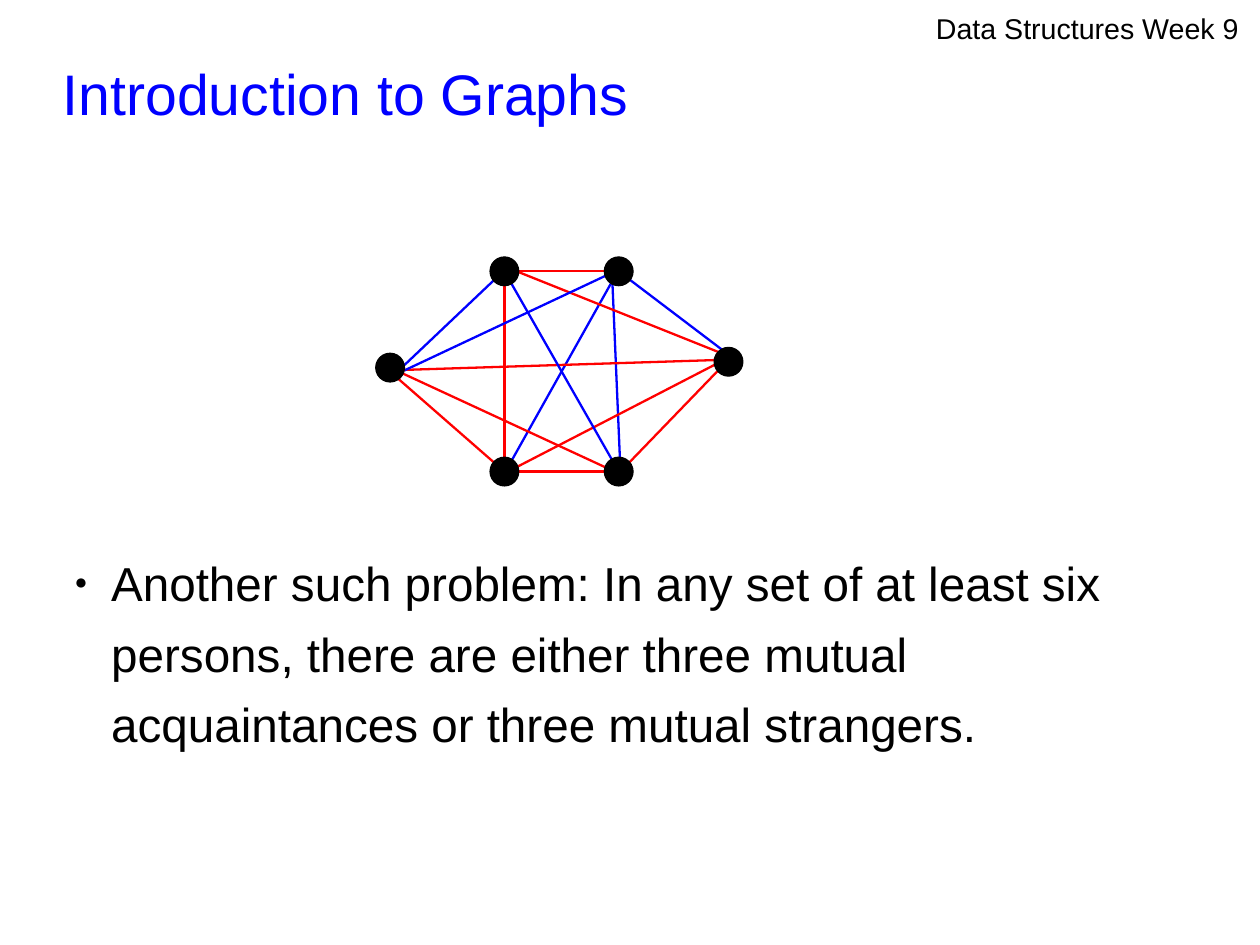
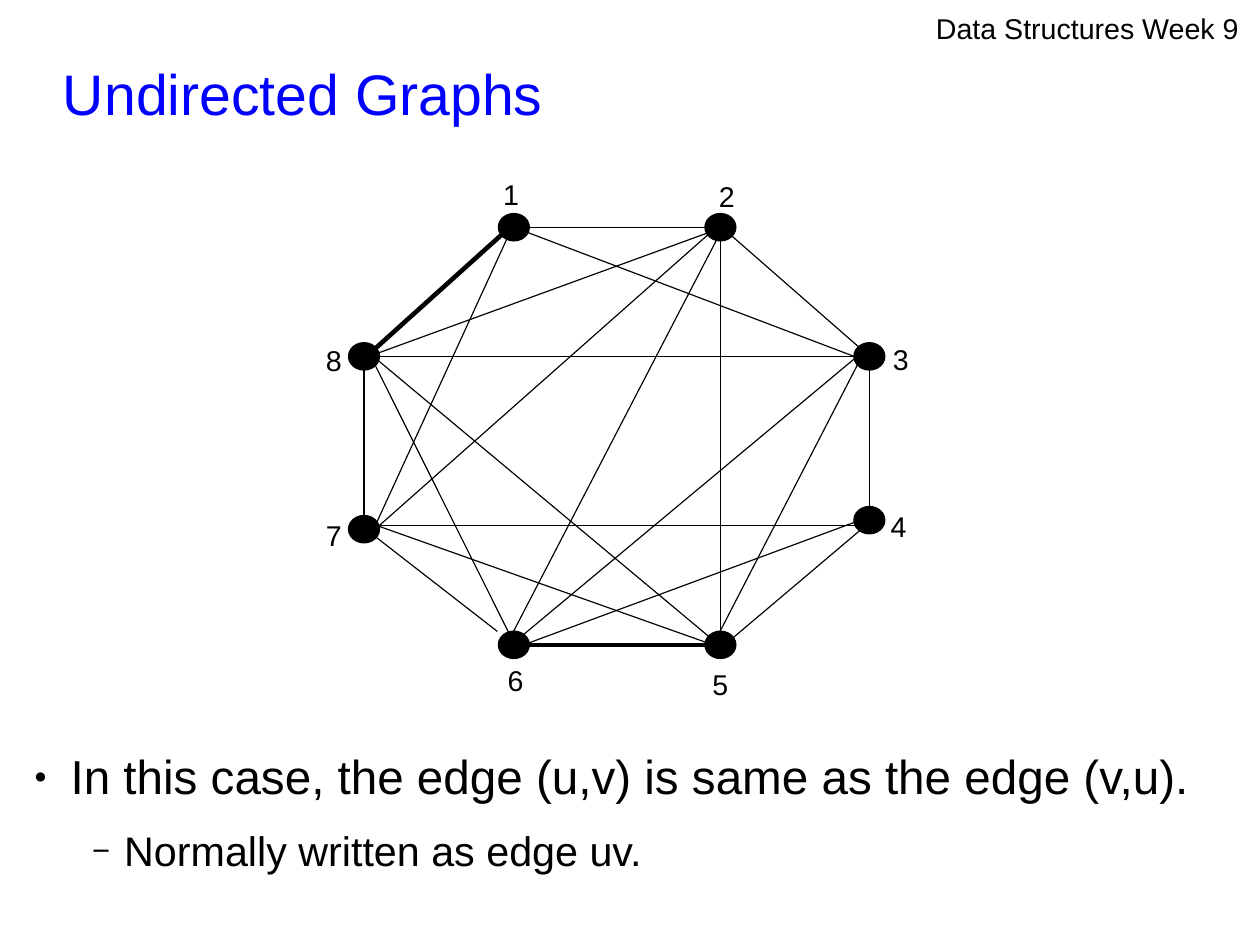
import dataclasses
import typing

import lxml.etree
import pptx
import pptx.dml.color
import pptx.enum.shapes
import pptx.enum.text
import pptx.oxml.ns
import pptx.slide
import pptx.text.text
import pptx.util

Cm = pptx.util.Cm
Pt = pptx.util.Pt
qn = pptx.oxml.ns.qn
ALIGN = pptx.enum.text.PP_ALIGN
ANCHOR = pptx.enum.text.MSO_ANCHOR
FIT = pptx.enum.text.MSO_AUTO_SIZE
Pair = tuple[float, float]

# Shared look
FONT = "Arial"
INK = {"black": "000000", "blue": "0000FF", "red": "FF0000", "white": "FFFFFF"}
HEADER = "Data Structures Week 9"
HEAD_BOX = (20.8, 0.25, 6.88, 0.84)
TITLE_BOX = (1.4, 0.84, 25.12, 2.08)
LABEL_SIZE = (0.86, 1.04)


@dataclasses.dataclass(frozen=True)
class Node:
    x: float
    y: float
    label: Pair = (0, 0)  # label centre, measured from the node


@dataclasses.dataclass(frozen=True)
class Edge:
    a: str
    b: str
    start: Pair = (0, 0)  # shift of each end from the node centre
    end: Pair = (0, 0)
    hue: str = "black"
    width: float = 0.75


@dataclasses.dataclass(frozen=True)
class Bullet:
    char: str
    scale: int
    left: float
    hang: float


@dataclasses.dataclass(frozen=True)
class Item:
    text: str
    level: int = 0


@dataclasses.dataclass(frozen=True)
class Page:
    title: str
    box: tuple[float, float, float, float]
    items: list[Item]
    nodes: dict[str, Node]
    edges: list[Edge]
    dot: Pair
    marked: bool = False  # show the node names


# Size, space after and bullet of each list level
LEVELS = [
    (30, 5.8, Bullet("●", 45, 1.07, 0.81)),
    (26, 2.9, Bullet("−", 75, 2.26, 0.71)),
]


def tint(hue: str) -> pptx.dml.color.RGBColor:
    return pptx.dml.color.RGBColor.from_string(INK[hue])


def write(frame: pptx.text.text.TextFrame, text: str, *, size: float = 18,
          hue: str = "black", line: float = 1.0, after: float = 0,
          level: int = 0, align: typing.Any = ALIGN.LEFT,
          bullet: typing.Optional[Bullet] = None) -> None:
    """Add one paragraph to the frame."""
    para = frame.add_paragraph() if frame.text else frame.paragraphs[0]
    para.level, para.alignment, para.line_spacing = level, align, line
    para.space_before, para.space_after = Pt(0), Pt(after)
    run = para.add_run()
    run.text = text
    run.font.name, run.font.size = FONT, Pt(size)
    run.font.color.rgb = tint(hue)
    if bullet:
        props = para._p.get_or_add_pPr()
        props.set("marL", str(Cm(bullet.left)))
        props.set("indent", str(-Cm(bullet.hang)))
        paint = lxml.etree.SubElement(props, qn("a:buClr"))
        lxml.etree.SubElement(paint, qn("a:srgbClr"), val=INK["black"])
        lxml.etree.SubElement(props, qn("a:buSzPct"), val=str(bullet.scale * 1000))
        lxml.etree.SubElement(props, qn("a:buFont"), typeface=FONT)
        lxml.etree.SubElement(props, qn("a:buChar"), char=bullet.char)


def place(shape: typing.Any, box: tuple[float, ...],
          anchor: typing.Any = ANCHOR.TOP) -> pptx.text.text.TextFrame:
    """Move a text shape and clear its margins."""
    shape.left, shape.top, shape.width, shape.height = map(Cm, box)
    frame = shape.text_frame
    frame.margin_left = frame.margin_right = 0
    frame.margin_top = frame.margin_bottom = 0
    frame.word_wrap, frame.auto_size = True, FIT.NONE
    frame.vertical_anchor = anchor
    return frame


def add_text(slide: pptx.slide.Slide,
             box: tuple[float, ...]) -> pptx.text.text.TextFrame:
    return place(slide.shapes.add_textbox(*map(Cm, box)), box)


def draw_edge(slide: pptx.slide.Slide, nodes: dict[str, Node], edge: Edge) -> None:
    a, b = nodes[edge.a], nodes[edge.b]
    ends = (a.x + edge.start[0], a.y + edge.start[1],
            b.x + edge.end[0], b.y + edge.end[1])
    link = slide.shapes.add_connector(
        pptx.enum.shapes.MSO_CONNECTOR.STRAIGHT, *map(Cm, ends))
    link.line.color.rgb = tint(edge.hue)
    link.line.width = Pt(edge.width)
    lxml.etree.SubElement(link._element.spPr, qn("a:effectLst"))


def draw_node(slide: pptx.slide.Slide, node: Node, dot: Pair) -> None:
    wide, high = dot
    box = (node.x - wide / 2, node.y - high / 2, wide, high)
    disc = slide.shapes.add_shape(
        pptx.enum.shapes.MSO_SHAPE.OVAL, *map(Cm, box))
    disc.shadow.inherit = False
    disc.fill.solid()
    disc.fill.fore_color.rgb = disc.line.color.rgb = tint("black")
    disc.line.width = Pt(0.75)


def draw_label(slide: pptx.slide.Slide, name: str, node: Node) -> None:
    wide, high = LABEL_SIZE
    box = (node.x + node.label[0] - wide / 2,
           node.y + node.label[1] - high / 2, wide, high)
    frame = add_text(slide, box)
    frame.vertical_anchor = ANCHOR.MIDDLE
    write(frame, name, line=1.04, align=ALIGN.CENTER)


def draw_page(deck: typing.Any, page: Page) -> None:
    slide = deck.slides.add_slide(deck.slide_layouts[1])
    fill = slide.background.fill
    fill.solid()
    fill.fore_color.rgb = tint("white")

    # Header, title and list
    write(add_text(slide, HEAD_BOX), HEADER)
    write(place(slide.shapes.title, TITLE_BOX, ANCHOR.MIDDLE), page.title,
          size=36, hue="blue", line=1.24)
    body = place(slide.placeholders[1], page.box)
    for item in page.items:
        size, after, bullet = LEVELS[item.level]
        write(body, item.text, size=size, line=1.24, after=after,
              level=item.level, bullet=bullet)

    # Graph
    for edge in page.edges:
        draw_edge(slide, page.nodes, edge)
    for name, node in page.nodes.items():
        draw_node(slide, node, page.dot)
        if page.marked:
            draw_label(slide, name, node)


def blue(a: str, b: str, start: Pair = (0, 0), end: Pair = (0, 0)) -> Edge:
    return Edge(a, b, start, end, "blue", 1.45)


def red(a: str, b: str, start: Pair = (0, 0), end: Pair = (0, 0)) -> Edge:
    return Edge(a, b, start, end, "red", 1.45)


# Six persons, named clockwise from the top left
SIX = Page(
    "Introduction to Graphs", (1.4, 12.0, 25.12, 8.08),
    [Item("Another such problem: In any set of at least six persons, there are "
          "either three mutual acquaintances or three mutual strangers.")],
    {"A": Node(11.21, 6.03), "B": Node(13.75, 6.03), "C": Node(16.19, 8.04),
     "D": Node(13.75, 10.48), "E": Node(11.21, 10.48), "F": Node(8.67, 8.17)},
    [
        blue("F", "A", (0.32, -0.06), (-0.09, 0.06)),
        blue("D", "B", (0.04, 0.04), (-0.14, 0.27)),
        blue("E", "B", (0, 0.04), (0, -0.04)),
        red("A", "E"),
        red("F", "D", end=(-0.09, 0)),
        red("A", "C", (0, -0.11), (0.09, -0.09)),
        red("E", "C", (0, 0.04), (0.09, -0.14)),
        red("F", "C", (0, 0.06), (-0.22, -0.04)),
        red("F", "E", (0, 0.09)),
        red("E", "D"),
        red("A", "B"),
        blue("B", "C", end=(0.09, -0.09)),
        blue("F", "B", (0.32, 0.06), (0, -0.04)),
        blue("A", "D"),
        red("D", "C", (0, 0.04), (0.09, -0.14)),
    ],
    (0.64, 0.64),
)

# Eight numbered nodes
EIGHT = Page(
    "Undirected Graphs", (0.5, 16.3, 26.5, 3.5),
    [Item("In this case, the edge (u,v) is same as the edge (v,u)."),
     Item("Normally written as edge uv.", 1)],
    {"1": Node(11.42, 5.05, (-0.06, -0.75)),
     "2": Node(16.01, 5.05, (0.14, -0.7)),
     "3": Node(19.32, 7.92, (0.7, 0.04)),
     "4": Node(19.32, 11.56, (0.65, 0.11)),
     "5": Node(16.01, 14.33, (0, 0.85)),
     "6": Node(11.42, 14.33, (0.04, 0.77)),
     "7": Node(8.09, 11.76, (-0.67, 0.11)),
     "8": Node(8.09, 7.92, (-0.67, 0.06))},
    [
        Edge("6", "5", (-0.34, 0), width=2.89),
        Edge("8", "1", (0, 0.05), (0, -0.08), width=2.89),
        Edge("2", "5", (0, 0.18)),
        Edge("8", "3"),
        Edge("7", "4", (0.19, -0.08), (0.19, 0.12)),
        Edge("7", "8", (0, 0.05), (0, -0.08)),
        Edge("4", "3", (0, 0.2), (0, 0.25)),
        Edge("7", "6", (0, -0.03), (-0.37, -0.3)),
        Edge("1", "2"),
        Edge("5", "4", (0, 0.08), (0, 0.05)),
        Edge("3", "2", (0.06, 0.05), (-0.06, -0.08)),
        Edge("1", "3", end=(-0.34, 0)),
        Edge("7", "1", (0.19, 0.05), (0, -0.08)),
        Edge("2", "6", (0.06, 0), (-0.06, -0.2)),
        Edge("7", "2", (0.19, 0.05), (0, -0.08)),
        Edge("2", "8", (0.06, 0), (0.11, 0)),
        Edge("3", "5", (-0.22, 0.1), (-0.06, -0.2)),
        Edge("3", "6", (-0.27, 0), (-0.06, 0)),
        Edge("6", "4", (0, 0.08), (-0.34, 0.05)),
        Edge("5", "8", (0.06, 0.08), (0.11, -0.08)),
        Edge("5", "7", (0.06, 0.08), (0.29, -0.08)),
        Edge("6", "8", (0.06, 0.08), (0.11, -0.08)),
    ],
    (0.69, 0.61), marked=True,
)


def main() -> None:
    deck = pptx.Presentation()
    deck.slide_width, deck.slide_height = Cm(28), Cm(21)
    for page in (SIX, EIGHT):
        draw_page(deck, page)
    deck.save("out.pptx")


if __name__ == "__main__":
    main()
